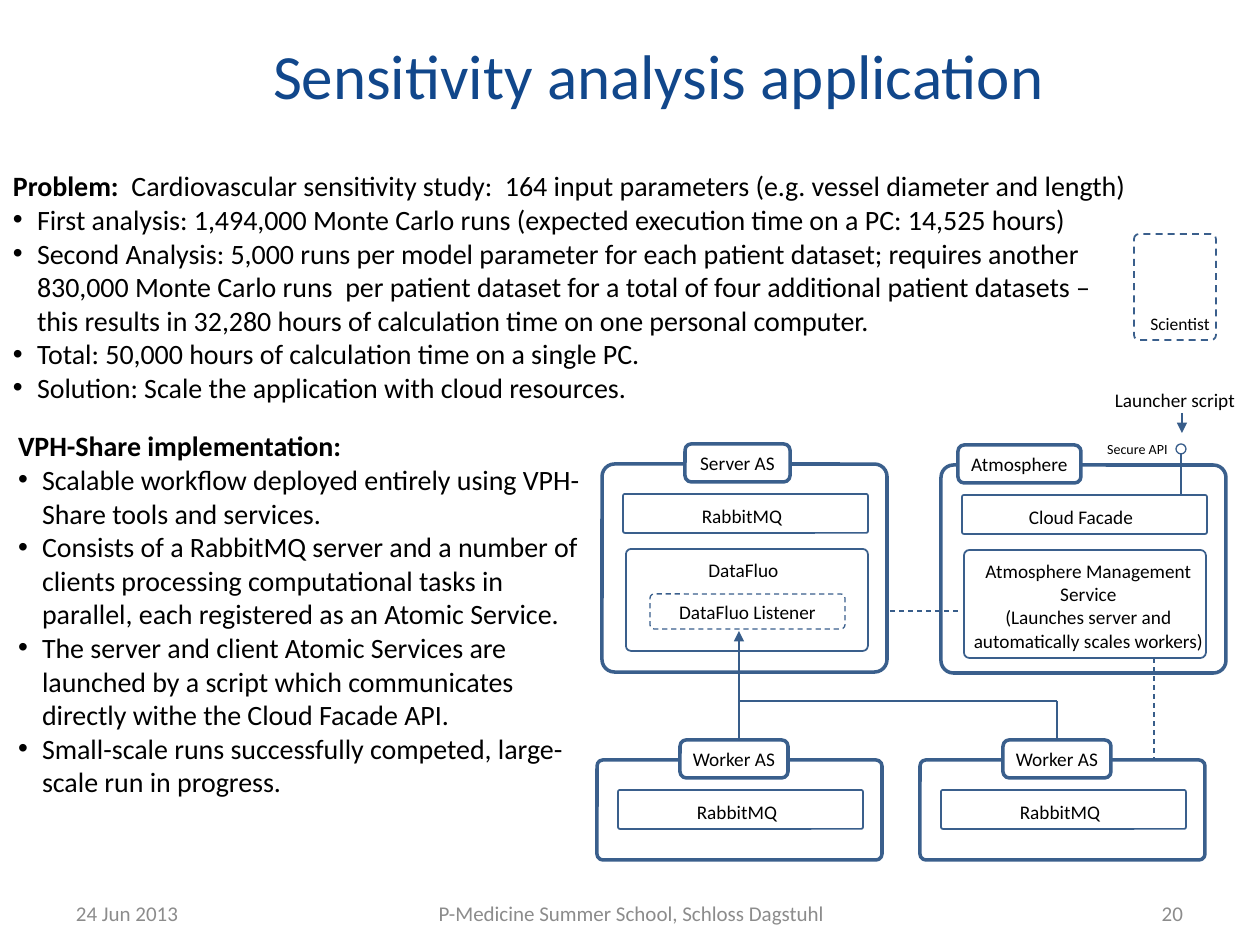
import pptx
import pptx.dml.color
import pptx.enum.dml
import pptx.enum.shapes
import pptx.enum.text
import pptx.oxml.ns
import pptx.oxml.xmlchemy
import pptx.util

COLORS = {
    "title": "11478B",
    "text": "000000",
    "footer": "8C8C8C",
    "outline": "3A5F8C",
    "connector": "385D8A",
    "white": "FFFFFF",
}
PIXELS_PER_INCH = 126
ALIGN = pptx.enum.text.PP_ALIGN
ANCHOR = pptx.enum.text.MSO_ANCHOR
SHAPE = pptx.enum.shapes.MSO_SHAPE
DASH = pptx.enum.dml.MSO_LINE.DASH


def px(value):
    return pptx.util.Emu(round(value * 914400 / PIXELS_PER_INCH))


def color(name):
    return pptx.dml.color.RGBColor.from_string(COLORS[name])


def add_element(parent, tag, **attributes):
    element = parent.makeelement(pptx.oxml.ns.qn(tag), attributes)
    parent.append(element)
    return element


def place(shape, left, top, width, height):
    shape.left, shape.top = px(left), px(top)
    shape.width, shape.height = px(width), px(height)


def write_run(paragraph, text, size=11, bold=False, fill="text"):
    run = paragraph.add_run()
    run.text = text
    run.font.name = "Calibri"
    run.font.size = pptx.util.Pt(size)
    run.font.bold = bold
    run.font.color.rgb = color(fill)


def write_text(shape, text, align=ALIGN.CENTER, anchor=ANCHOR.MIDDLE,
               insets=(13, 6, 13, 6), wrap=True, **run_format):
    frame = shape.text_frame
    frame.word_wrap = wrap
    frame.auto_size = pptx.enum.text.MSO_AUTO_SIZE.NONE
    frame.vertical_anchor = anchor
    frame.margin_left, frame.margin_top, frame.margin_right, frame.margin_bottom = map(px, insets)
    for index, line in enumerate(text.split("\n")):
        paragraph = frame.add_paragraph() if index else frame.paragraphs[0]
        paragraph.alignment = align
        write_run(paragraph, line, **run_format)


def add_label(slide, box, text, **text_format):
    label = slide.shapes.add_textbox(*map(px, box))
    write_text(label, text, **text_format)


def add_box(slide, box, text="", kind=SHAPE.ROUNDED_RECTANGLE, corner=None,
            width=1, dash=None, fill=None, **text_format):
    shape = slide.shapes.add_shape(kind, *map(px, box))
    shape.shadow.inherit = False
    if corner is not None:
        shape.adjustments[0] = corner
    if fill:
        shape.fill.solid()
        shape.fill.fore_color.rgb = color(fill)
    else:
        shape.fill.background()
    shape.line.color.rgb = color("outline")
    shape.line.width = pptx.util.Pt(width)
    if dash:
        shape.line.dash_style = dash
    if text:
        write_text(shape, text, **text_format)
    return shape


def add_line(slide, start, end, dash=None, arrow=False):
    connector = slide.shapes.add_connector(
        pptx.enum.shapes.MSO_CONNECTOR.STRAIGHT, *map(px, start + end))
    connector.line.color.rgb = color("connector")
    connector.line.width = pptx.util.Pt(0.75)
    if dash:
        connector.line.dash_style = dash
    properties = connector._element.spPr
    if arrow:
        add_element(properties.find(pptx.oxml.ns.qn("a:ln")), "a:tailEnd", type="triangle")
    add_element(properties, "a:effectLst")
    return connector


def fill_body(body, box, heading, lead, bullets):
    place(body, *box)
    write_text(body, heading, align=ALIGN.LEFT, anchor=ANCHOR.TOP, size=16, bold=True)
    frame = body.text_frame
    if lead:
        write_run(frame.paragraphs[0], lead, size=16)
    for text in bullets:
        write_run(frame.add_paragraph(), text, size=16)
    for index, paragraph in enumerate(frame.paragraphs):
        properties = paragraph._p.get_or_add_pPr()
        indent = px(24) if index else 0
        properties.set("marL", str(indent))
        properties.set("indent", str(-indent))
        if index:
            add_element(properties, "a:buFont", typeface="Arial")
            add_element(properties, "a:buChar", char="•")
        else:
            add_element(properties, "a:buNone")
        paragraph.space_before = pptx.util.Pt(0)


def add_service(slide, box, name, tab_left, tab_width, component):
    left, top, width, height = box
    add_box(slide, (left + 21, top + 30, 245, 39), component, corner=0.05,
            insets=(6, 9, 13, 4))
    add_box(slide, box, corner=0.06, width=2)
    return add_box(slide, (left + tab_left, top - 20, tab_width, 38), name,
                   width=2, fill="white", wrap=False)


def add_server(slide, left, top):
    add_service(slide, (left, top, 285, 208), "Server AS", 83, 105, "RabbitMQ")
    add_box(slide, (left + 24, top + 85, 242, 102), "DataFluo", corner=0.05,
            anchor=ANCHOR.TOP, insets=(6, 8, 13, 0))
    add_box(slide, (left + 48, top + 130, 195, 35), "DataFluo Listener",
            corner=0.12, width=0.75, dash=DASH)


def add_atmosphere(slide, left, top):
    add_service(slide, (left, top, 285, 208), "Atmosphere", 17, 123, "Cloud Facade")
    add_box(slide, (left + 23, top + 85, 242, 108),
            "Atmosphere Management\nService\n(Launches server and automatically scales workers)",
            corner=0.05, anchor=ANCHOR.TOP, insets=(7, 8, 0, 0))


def add_worker(slide, left, top):
    return add_service(slide, (left, top, 285, 100), "Worker AS", 83, 108, "RabbitMQ")


def add_client(slide, left, top):
    add_box(slide, (left, top, 82, 106), "Scientist", corner=0.06, dash=DASH,
            anchor=ANCHOR.BOTTOM, insets=(10, 0, 0, 4), size=10)
    add_label(slide, (left - 34, top + 148, 150, 36), "Launcher script",
              anchor=ANCHOR.TOP, wrap=False)
    add_line(slide, (left + 48, top + 179), (left + 48, top + 199), arrow=True)
    add_label(slide, (left - 86, top + 201, 179, 30), "Secure API",
              anchor=ANCHOR.TOP, size=8)
    endpoint = add_box(slide, (left + 42, top + 210, 10, 10), kind=SHAPE.OVAL, width=0.75)
    link = add_line(slide, (left + 47, top + 220), (left + 47, top + 260))
    link.begin_connect(endpoint, 2)


def add_diagram(slide):
    add_server(slide, 602, 464)
    add_worker(slide, 597, 760)
    second_worker = add_worker(slide, 920, 760)
    add_atmosphere(slide, 941, 465)
    add_client(slide, 1134, 234)
    add_line(slide, (739, 741), (739, 631), arrow=True)
    add_line(slide, (739, 701), (1057, 701))
    add_line(slide, (1057, 701), (1057, 740)).end_connect(second_worker, 0)
    add_line(slide, (890, 611), (961, 611), dash=DASH)
    add_line(slide, (1154, 658), (1154, 760), dash=DASH)


def add_footer(slide, top):
    for left, width, text, align in (
        (63, 294, "24 Jun 2013", ALIGN.LEFT),
        (378, 507, "P-Medicine Summer School, Schloss Dagstuhl", ALIGN.CENTER),
        (1114, 82, "20", ALIGN.RIGHT),
    ):
        add_label(slide, (left, top, width, 50), text, align=align, size=12, fill="footer")


def main():
    presentation = pptx.Presentation()
    presentation.slide_width, presentation.slide_height = px(1260), px(945)
    slide = presentation.slides.add_slide(presentation.slide_layouts[3])
    title, problem, implementation = slide.placeholders
    place(title, 184, 3, 963, 142)
    write_text(title, "Sensitivity analysis application ", size=36, fill="title")
    fill_body(problem, (0, 163, 1150, 251), "Problem: ",
              " Cardiovascular sensitivity study:  164 input parameters (e.g. vessel diameter and length)", (
        "First analysis: 1,494,000 Monte Carlo runs (expected execution time on a PC: 14,525 hours)",
        "Second Analysis: 5,000 runs per model parameter for each patient dataset; requires another "
        "830,000 Monte Carlo runs  per patient dataset for a total of four additional patient datasets – "
        "this results in 32,280 hours of calculation time on one personal computer.",
        "Total: 50,000 hours of calculation time on a single PC.",
        "Solution: Scale the application with cloud resources.",
    ))
    fill_body(implementation, (5, 423, 593, 386), "VPH-Share implementation:", "", (
        "Scalable workflow deployed entirely using VPH-Share tools and services.",
        "Consists of a RabbitMQ server and a number of clients processing computational tasks in "
        "parallel, each registered as an Atomic Service.",
        "The server and client Atomic Services are launched by a script which communicates "
        "directly withe the Cloud Facade API.",
        "Small-scale runs successfully competed, large-scale run in progress.",
    ))
    add_diagram(slide)
    add_footer(slide, 888)
    presentation.save("out.pptx")


if __name__ == "__main__":
    main()
